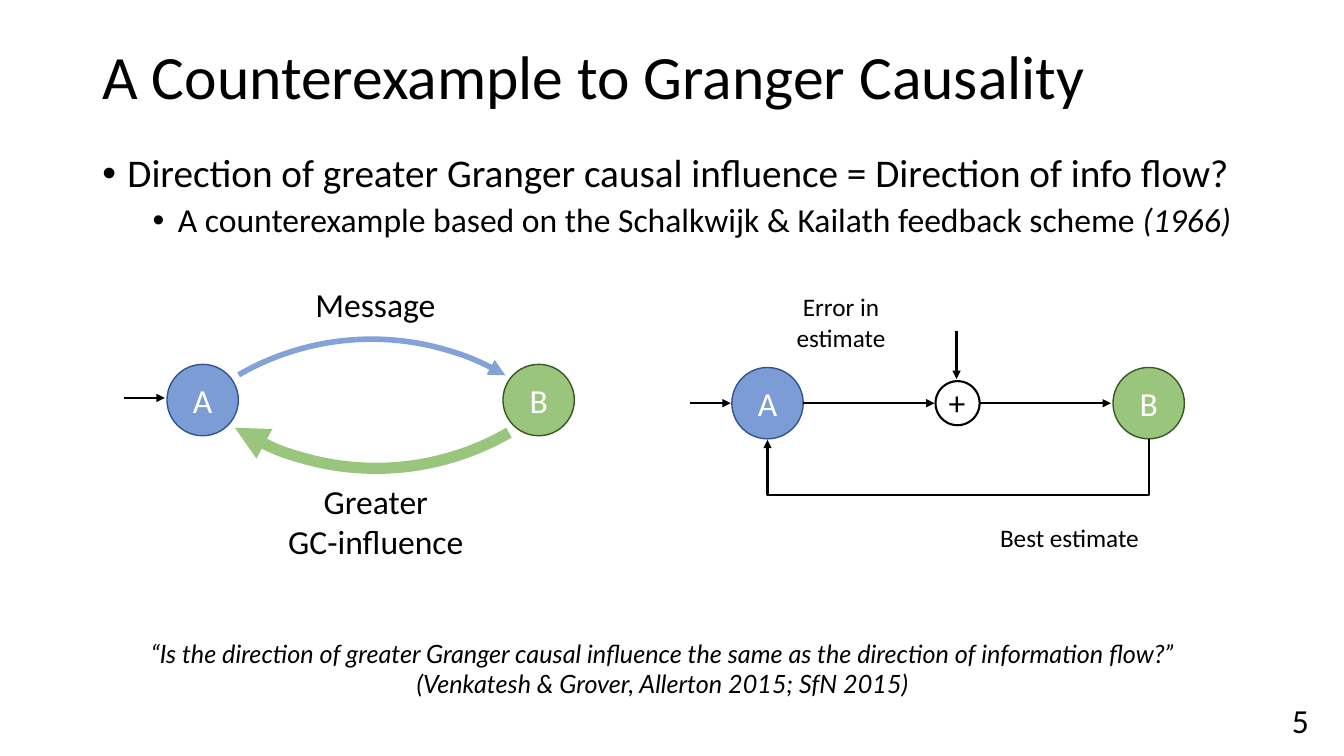
from dataclasses import dataclass

import pptx
import pptx.dml.color
import pptx.enum.shapes
import pptx.enum.text
import pptx.oxml
import pptx.oxml.ns
import pptx.util
from lxml import etree

PX = 9525  # EMU in one px, 96 px to the inch
ALIGN = pptx.enum.text.PP_ALIGN
ANCHOR = pptx.enum.text.MSO_ANCHOR
SHAPE = pptx.enum.shapes.MSO_SHAPE
CONNECTOR = pptx.enum.shapes.MSO_CONNECTOR
NODE_SIZE = 68


@dataclass(frozen=True)
class Theme:
    font: str = "Calibri"
    citation_font: str = "Lato"
    black: str = "000000"
    white: str = "FFFFFF"
    blue: str = "4472C4"
    blue_edge: str = "325491"
    green: str = "70AD47"
    green_edge: str = "385723"
    title: int = 44
    bullet: int = 28
    body: int = 24
    small: int = 18


THEME = Theme()


def px(*lengths):
    return [pptx.util.Emu(length * PX) for length in lengths]


def color(value):
    return pptx.dml.color.RGBColor.from_string(value)


def add_child(parent, tag, **attributes):
    return etree.SubElement(parent, pptx.oxml.ns.qn(tag), attributes)


def set_opacity(element, percent):
    add_child(element.find(".//" + pptx.oxml.ns.qn("a:srgbClr")), "a:alpha", val=str(percent * 1000))


def set_line(shape, line_color, width):
    shape.line.color.rgb = color(line_color)
    shape.line.width = pptx.util.Pt(width)
    return shape.element.spPr.find(pptx.oxml.ns.qn("a:ln"))


def set_arrow(shape, line_color=THEME.black, width=1.5):
    line = set_line(shape, line_color, width)
    add_child(line, "a:tailEnd", type="triangle")
    return line


def write(paragraph, text, size=THEME.body, font=THEME.font, text_color=THEME.black,
          italic=False, align=None):
    """Add text to a paragraph; each newline becomes a line break."""
    if align is not None:
        paragraph.alignment = align
    for index, line in enumerate(text.split("\n")):
        if index:
            paragraph.add_line_break()
        run = paragraph.add_run()
        run.text = line
        run.font.name = font
        run.font.size = pptx.util.Pt(size)
        run.font.italic = italic
        run.font.color.rgb = color(text_color)


def add_box(slide, box, wrap=True, anchor=ANCHOR.TOP):
    frame = slide.shapes.add_textbox(*px(*box)).text_frame
    frame.word_wrap = wrap
    frame.vertical_anchor = anchor
    return frame


def add_label(slide, box, text, wrap=True, anchor=ANCHOR.TOP, **text_format):
    write(add_box(slide, box, wrap, anchor).paragraphs[0], text, **text_format)


def add_bullet(paragraph, level, space_before=0):
    paragraph.level = level
    paragraph.line_spacing = 0.9
    paragraph.space_before = pptx.util.Pt(space_before)
    properties = paragraph._p.get_or_add_pPr()
    left, hanging = px(24 + 48 * level, -24)
    properties.set("marL", str(left))
    properties.set("indent", str(hanging))
    add_child(properties, "a:buFont", typeface="Arial")
    add_child(properties, "a:buChar", char="•")


def add_circle(slide, left, top, size):
    circle = slide.shapes.add_shape(SHAPE.OVAL, *px(left, top, size, size))
    circle.shadow.inherit = False
    return circle


def add_node(slide, left, top, name, fill, edge):
    node = add_circle(slide, left, top, NODE_SIZE)
    node.fill.solid()
    node.fill.fore_color.rgb = color(fill)
    set_opacity(node.element.spPr, 70)
    set_line(node, edge, 1)
    node.text_frame.vertical_anchor = ANCHOR.MIDDLE
    write(node.text_frame.paragraphs[0], name, text_color=THEME.white, align=ALIGN.CENTER)


def add_node_pair(slide, left_a, left_b, top):
    add_node(slide, left_a, top, "A", THEME.blue, THEME.blue_edge)
    add_node(slide, left_b, top, "B", THEME.green, THEME.green_edge)


def add_arrow(slide, *ends):
    arrow = slide.shapes.add_connector(CONNECTOR.STRAIGHT, *px(*ends))
    set_arrow(arrow)
    add_child(arrow.element.spPr, "a:effectLst")


def add_feedback_arrow(slide, start_x, end_x, top, drop):
    """Elbow that goes down from start_x, back left, and up to end_x."""
    span = start_x - end_x
    left = (start_x + end_x) // 2
    upper = top - span // 2
    arrow = slide.shapes.add_connector(CONNECTOR.ELBOW, *px(left, upper, left + 1, upper + span))
    properties = arrow.element.spPr
    properties.find(pptx.oxml.ns.qn("a:xfrm")).set("rot", str(90 * 60000))
    geometry = properties.find(pptx.oxml.ns.qn("a:prstGeom"))
    guides = geometry.find(pptx.oxml.ns.qn("a:avLst"))
    if guides is None:
        guides = add_child(geometry, "a:avLst")
    add_child(guides, "a:gd", name="adj1", fmla=f"val {drop * 100000}")
    set_arrow(arrow)
    add_child(properties, "a:effectLst")


def add_arc_arrow(slide, left, top, rotation, end_angle, arc_color, width, opacity):
    arc = slide.shapes.add_shape(SHAPE.ARC, *px(left, top, 506, 506))
    arc.shadow.inherit = False
    arc.fill.background()
    arc.rotation = rotation
    for index, angle in enumerate((284.16, end_angle)):
        arc.adjustments[index] = angle * 0.6  # 60000 units a degree, in steps of 100000
    set_opacity(set_arrow(arc, arc_color, width), opacity)


def add_heading(slide):
    title = add_box(slide, (88, 33, 1104, 86), anchor=ANCHOR.MIDDLE).paragraphs[0]
    title.line_spacing = 0.9
    write(title, "A Counterexample to Granger Causality", size=THEME.title)
    body = add_box(slide, (88, 142, 1104, 105))
    question = body.paragraphs[0]
    add_bullet(question, 0)
    write(question, "Direction of greater Granger causal influence = Direction of info flow?",
          size=THEME.bullet)
    example = body.add_paragraph()
    add_bullet(example, 1, space_before=5)
    write(example, "A counterexample based on the Schalkwijk & Kailath feedback scheme ")
    write(example, "(1966)", italic=True)


def add_influence_diagram(slide):
    add_node_pair(slide, 159, 479, 347)
    add_arc_arrow(slide, 101, 323, 315.8, 344.44, THEME.blue, 4, 66)
    add_arc_arrow(slide, 105, -60, 135.8, 346.27, THEME.green, 8, 70)
    add_label(slide, (291, 266, 135, 48), "Message", wrap=False)
    add_label(slide, (264, 453, 188, 87), "Greater\nGC-influence", wrap=False, align=ALIGN.CENTER)
    add_arrow(slide, 118, 379, 157, 379)


def add_feedback_diagram(slide):
    add_label(slide, (745, 273, 112, 68), "Error in estimate", size=THEME.small, align=ALIGN.CENTER)
    add_label(slide, (935, 493, 167, 38), "Best estimate", size=THEME.small, align=ALIGN.CENTER)
    add_node_pair(slide, 697, 1060, 350)
    adder = add_circle(slide, 891, 363, 42)
    adder.fill.background()
    set_line(adder, THEME.black, 1.5)
    add_label(slide, (894, 359, 36, 48), "+", wrap=False)
    for start, end in ((657, 696), (765, 890), (933, 1058)):
        add_arrow(slide, start, 384, end, 384)
    add_arrow(slide, 911, 315, 911, 361)
    add_feedback_arrow(slide, start_x=1094, end_x=731, top=418, drop=54)


def main():
    presentation = pptx.Presentation()
    presentation.slide_width, presentation.slide_height = px(1280, 720)
    slide = presentation.slides.add_slide(presentation.slide_layouts[6])
    add_heading(slide)
    add_feedback_diagram(slide)
    add_influence_diagram(slide)
    add_label(slide, (108, 603, 1046, 68),
              "“Is the direction of greater Granger causal influence the same as the direction "
              "of information flow?”\n(Venkatesh & Grover, Allerton 2015; SfN 2015)",
              size=THEME.small, font=THEME.citation_font, italic=True, align=ALIGN.CENTER)
    add_label(slide, (968, 667, 288, 38), "5", anchor=ANCHOR.MIDDLE, align=ALIGN.RIGHT)
    presentation.save("out.pptx")


if __name__ == "__main__":
    main()
